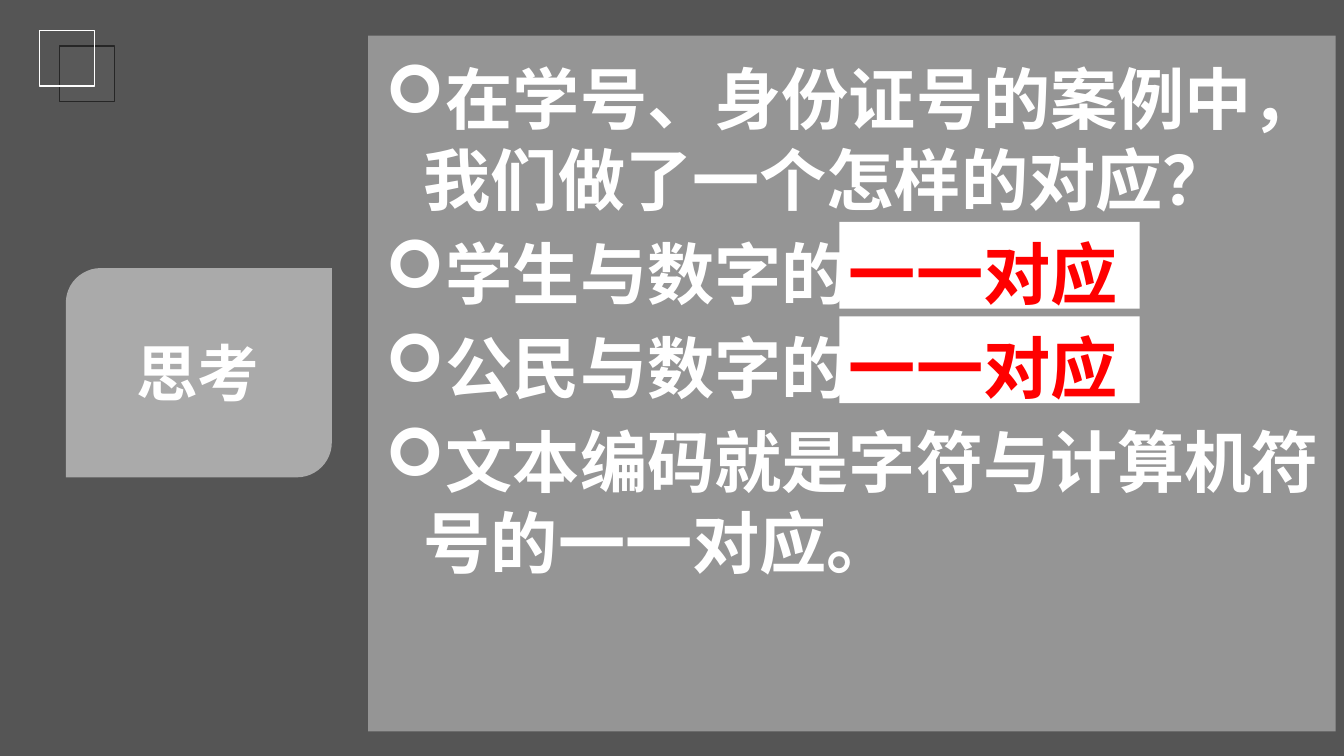
from pptx import Presentation
from pptx import util as u
from pptx.dml.color import RGBColor
from pptx.enum import shapes, text
from pptx.oxml import parse_xml
from pptx.oxml.ns import nsdecls

SANS, SERIF = "Noto Sans CJK SC", "Times New Roman"
WHITE, RED = "FFFFFF", "FF0000"


def color(value):
    return RGBColor.from_string(value)


def add_span(para, wording, size, latin, tint):
    span = para.add_run()
    span.text = wording
    formats = {"size": u.Pt(size), "bold": True, "name": latin}
    for name, value in formats.items():
        setattr(span.font, name, value)
    span.font.color.rgb = color(tint)
    span.font._element.append(
        parse_xml(f'<a:ea {nsdecls("a")} typeface="{SANS}"/>'))


deck = Presentation()
deck.slide_width, deck.slide_height = u.Pt(960), u.Pt(540)
page = deck.slides.add_slide(deck.slide_layouts[6])
card = page.shapes.add_group_shape()

RECT = shapes.MSO_SHAPE.RECTANGLE
ROUND = shapes.MSO_SHAPE.ROUND_2_DIAG_RECTANGLE
panels = [
    (page, RECT, (0, 0, 960, 540), "0D0D0D", 70, None),
    (card, ROUND, (47, 191.5, 190, 149.5), WHITE, 50, None),
    (page, RECT, (42.5, 33, 39.5, 39.5), "595959", 100, "262626"),
    (page, RECT, (28, 22, 39.5, 39.5), None, 100, WHITE),
    (page, RECT, (263, 25.5, 691, 497), WHITE, 38, None),
    (page, RECT, (599.5, 158.5, 214.5, 62), WHITE, 100, None),
    (page, RECT, (599.5, 226, 214.5, 62), WHITE, 100, None),
]
for parent, kind, place, fill, opacity, line in panels:
    panel = parent.shapes.add_shape(kind, *map(u.Pt, place))
    panel.shadow.inherit = False
    if fill:
        panel.fill.solid()
        panel.fill.fore_color.rgb = color(fill)
        if opacity < 100:
            tone = panel.fill._xPr.find(".//{*}srgbClr")
            tone.append(parse_xml(
                f'<a:alpha {nsdecls("a")} val="{opacity * 1000}"/>'))
    else:
        panel.fill.background()
    if line:
        panel.line.color.rgb = color(line)
        panel.line.width = u.Pt(1)
    else:
        panel.line.fill.background()
    if parent is page and place[2] == 960:
        page.shapes._spTree.append(card._element)

title = card.shapes.add_textbox(*map(u.Pt, (47, 239, 188.5, 34.5)))
title.text_frame.word_wrap = False
title.text_frame.margin_top = title.text_frame.margin_bottom = 0
para = title.text_frame.paragraphs[0]
para.alignment = text.PP_ALIGN.CENTER
add_span(para, "思考", 44, SANS, WHITE)

points = [
    [("在学号、身份证号的案例中，我们做了一个怎样的对应？", WHITE)],
    [("学生与数字的", WHITE), ("一一对应", RED)],
    [("公民与数字的", WHITE), ("一一对应", RED)],
    [("文本编码就是字符与计算机符号的一一对应。", WHITE)],
]
box = page.shapes.add_textbox(*map(u.Pt, (268.5, 32.5, 685.5, 483)))
frame = box.text_frame
frame.word_wrap = True
frame.margin_top = u.Pt(8.4)
for index, point in enumerate(points):
    para = frame.add_paragraph() if index else frame.paragraphs[0]
    props = para._p.get_or_add_pPr()
    props.set("marL", str(u.Pt(27)))
    props.set("indent", str(u.Pt(-27)))
    props.append(parse_xml(f'<a:buFont {nsdecls("a")} typeface="Wingdings"/>'))
    props.append(parse_xml(f'<a:buChar {nsdecls("a")} char="➢"/>'))
    para.line_spacing = u.Pt(57.6)
    para.space_before = u.Pt(9.6 if index else 0)
    for wording, tint in point:
        add_span(para, wording, 48, SERIF, tint)

deck.save("out.pptx")
